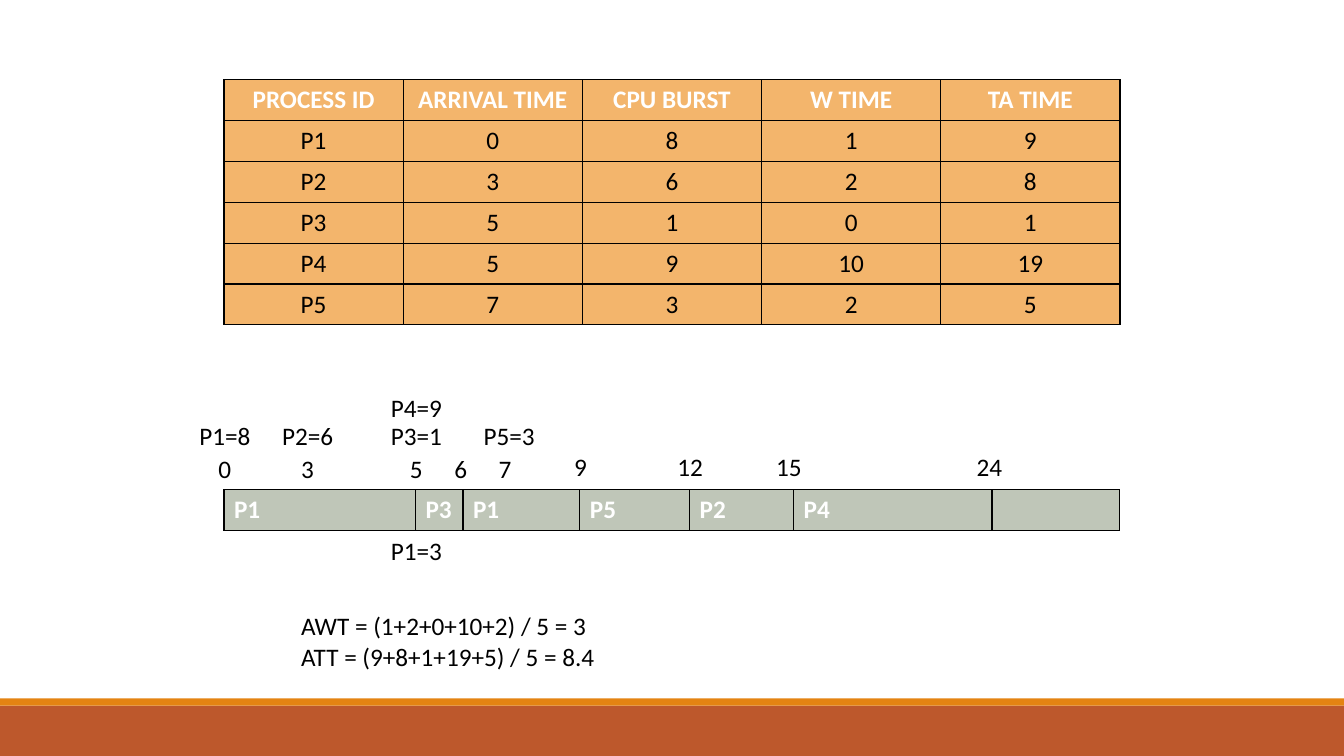
import pptx
import pptx.dml.color
import pptx.enum.shapes
import pptx.enum.text
import pptx.oxml
import pptx.oxml.ns
import pptx.util

RGBColor = pptx.dml.color.RGBColor
BLACK = RGBColor(0x00, 0x00, 0x00)
WHITE = RGBColor(0xFF, 0xFF, 0xFF)
RUST = RGBColor(0xBD, 0x58, 0x2C)
ORANGE = RGBColor(0xE4, 0x83, 0x12)
PEACH = RGBColor(0xF3, 0xB5, 0x6C)
SAGE = RGBColor(0xBF, 0xC6, 0xB8)
ALIGN = pptx.enum.text.PP_ALIGN

deck = pptx.Presentation()
deck.slide_width = pptx.util.Inches(13.33)
deck.slide_height = pptx.util.Inches(7.5)
page = deck.slides.add_slide(deck.slide_layouts[6])

# The page is a grid of 60 columns and 75 rows.
COLUMN = deck.slide_width / 60
ROW = deck.slide_height / 75
TABLE_LEFT, TABLE_WIDTH, LINE_HEIGHT = 10, 40, 4.05


def style_text(frame, color, bold=False, align=ALIGN.LEFT):
    for para in frame.paragraphs:
        para.alignment = align
        for span in para.runs:
            span.font.name = "Calibri"
            span.font.size = pptx.util.Pt(18)
            span.font.bold = bold
            span.font.color.rgb = color


def add_grid(rows, widths, top, fill, align):
    """Add a bordered table whose first row is bold and white."""
    table = page.shapes.add_table(
        len(rows), len(widths), int(TABLE_LEFT * COLUMN), int(top * ROW),
        int(TABLE_WIDTH * COLUMN), int(len(rows) * LINE_HEIGHT * ROW)).table
    table.first_row = table.horz_banding = False
    for column, width in zip(table.columns, widths):
        column.width = int(width * COLUMN)
    for row_index, values in enumerate(rows):
        table.rows[row_index].height = int(LINE_HEIGHT * ROW)
        for column_index, value in enumerate(values):
            cell = table.cell(row_index, column_index)
            cell.text_frame.text = value
            header = row_index == 0
            style_text(cell.text_frame, WHITE if header else BLACK, header, align)
            if align == ALIGN.LEFT:
                cell.margin_right = 0
            cell.fill.solid()
            cell.fill.fore_color.rgb = fill
            properties = cell._tc.get_or_add_tcPr()
            for position, side in enumerate("LRTB"):
                properties.insert(position, pptx.oxml.parse_xml(
                    f'<a:ln{side} {pptx.oxml.ns.nsdecls("a")} w="12700"><a:solidFill>'
                    f'<a:srgbClr val="{BLACK}"/></a:solidFill></a:ln{side}>'))


# Footer bands
for top, height, color in [(70, 5, RUST), (69.3, 0.7, ORANGE)]:
    band = page.shapes.add_shape(
        pptx.enum.shapes.MSO_SHAPE.RECTANGLE, 0, int(top * ROW),
        deck.slide_width, int(height * ROW))
    band.shadow.inherit = False
    band.fill.solid()
    band.fill.fore_color.rgb = color
    band.line.fill.background()

# Process table
processes = [
    ["PROCESS ID", "ARRIVAL TIME", "CPU BURST", "W TIME", "TA TIME"],
    ["P1", "0", "8", "1", "9"],
    ["P2", "3", "6", "2", "8"],
    ["P3", "5", "1", "0", "1"],
    ["P4", "5", "9", "10", "19"],
    ["P5", "7", "3", "2", "5"],
]
add_grid(processes, [TABLE_WIDTH / 5] * 5, 7.9, PEACH, ALIGN.CENTER)

# Gantt chart
add_grid([["P1", "P3", "P1", "P5", "P2", "P4", ""]],
         [8.55, 2.12, 5.22, 4.9, 4.64, 8.86, 5.71], 48.6, SAGE, ALIGN.LEFT)

# Labels around the Gantt chart: top row, then text and centre column
LABEL_WIDTHS = {1: 1.5, 2: 2.07, 4: 3.2}
label_rows = [
    (38.4, [("P4=9", 18.61)]),
    (41.2, [("P1=8", 10.06), ("P2=6", 13.75), ("P3=1", 18.61), ("P5=3", 22.75)]),
    (44.5, [("0", 10.06), ("3", 13.75), ("5", 18.61), ("6", 20.59), ("7", 22.57)]),
    (44.3, [("9", 25.94), ("12", 30.83), ("15", 35.24), ("24", 44.19)]),
    (52.6, [("P1=3", 18.61)]),
]
for top, labels in label_rows:
    for text, center in labels:
        width = LABEL_WIDTHS[len(text)]
        box = page.shapes.add_textbox(
            int((center - width / 2) * COLUMN), int(top * ROW),
            int(width * COLUMN), int(4 * ROW))
        box.text_frame.word_wrap = False
        box.text_frame.text = text
        style_text(box.text_frame, BLACK)

# Averages
averages = page.shapes.add_textbox(
    int(13 * COLUMN), int(60.1 * ROW), int(18.86 * COLUMN), int(7.1 * ROW))
averages.text_frame.word_wrap = True
averages.text_frame.text = "AWT = (1+2+0+10+2) / 5 = 3\nATT = (9+8+1+19+5) / 5 = 8.4"
style_text(averages.text_frame, BLACK)

deck.save("out.pptx")
